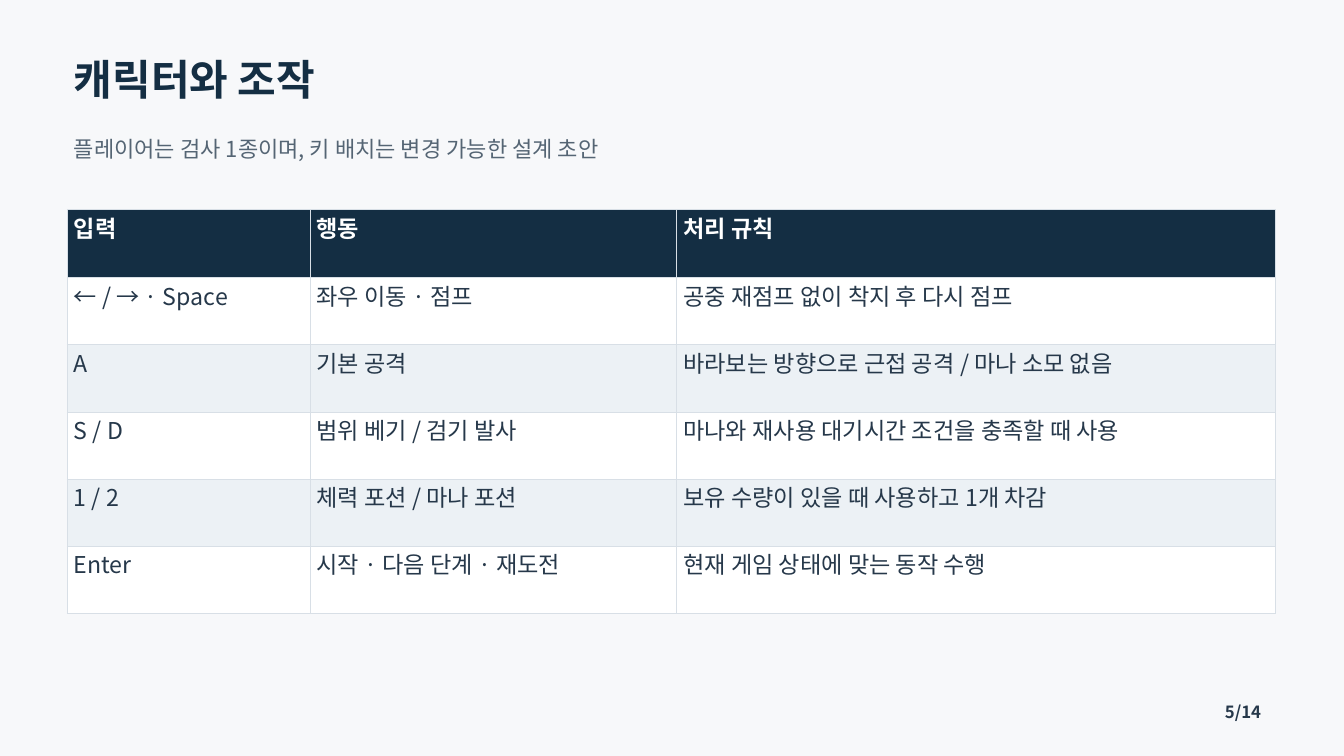
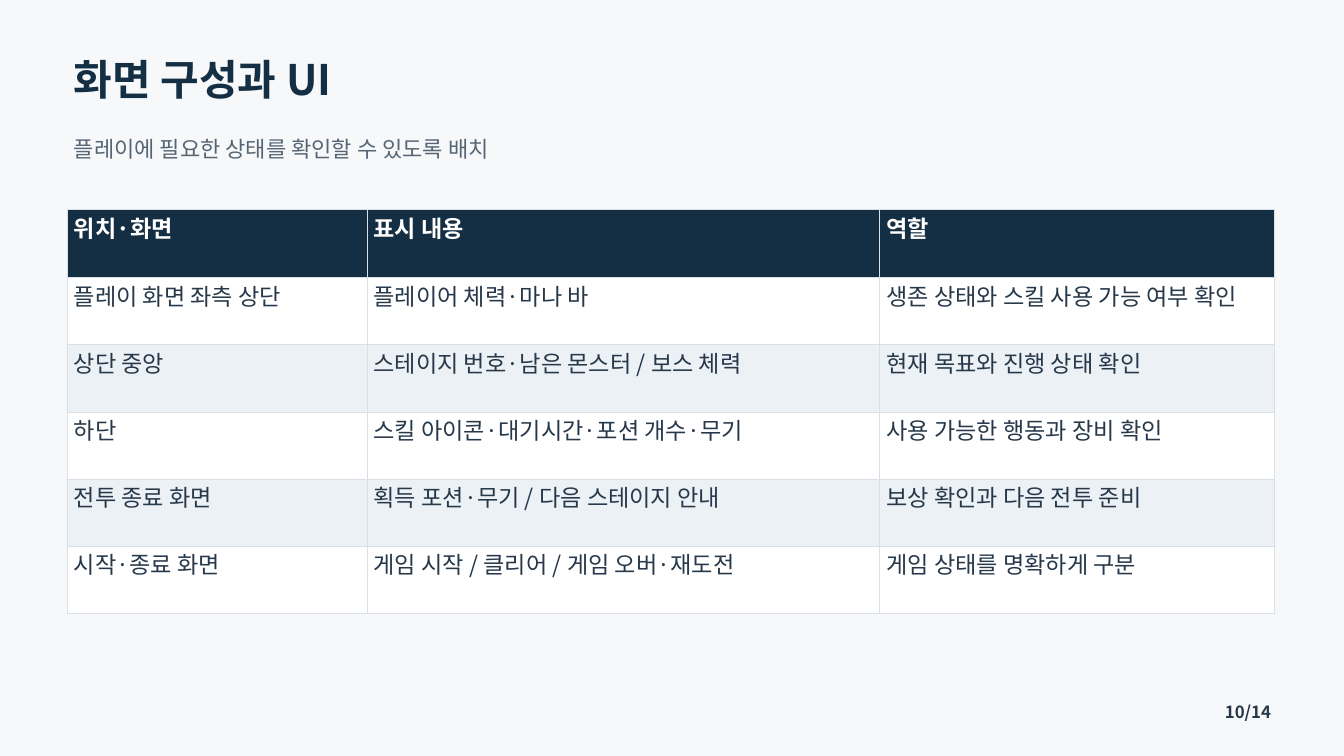
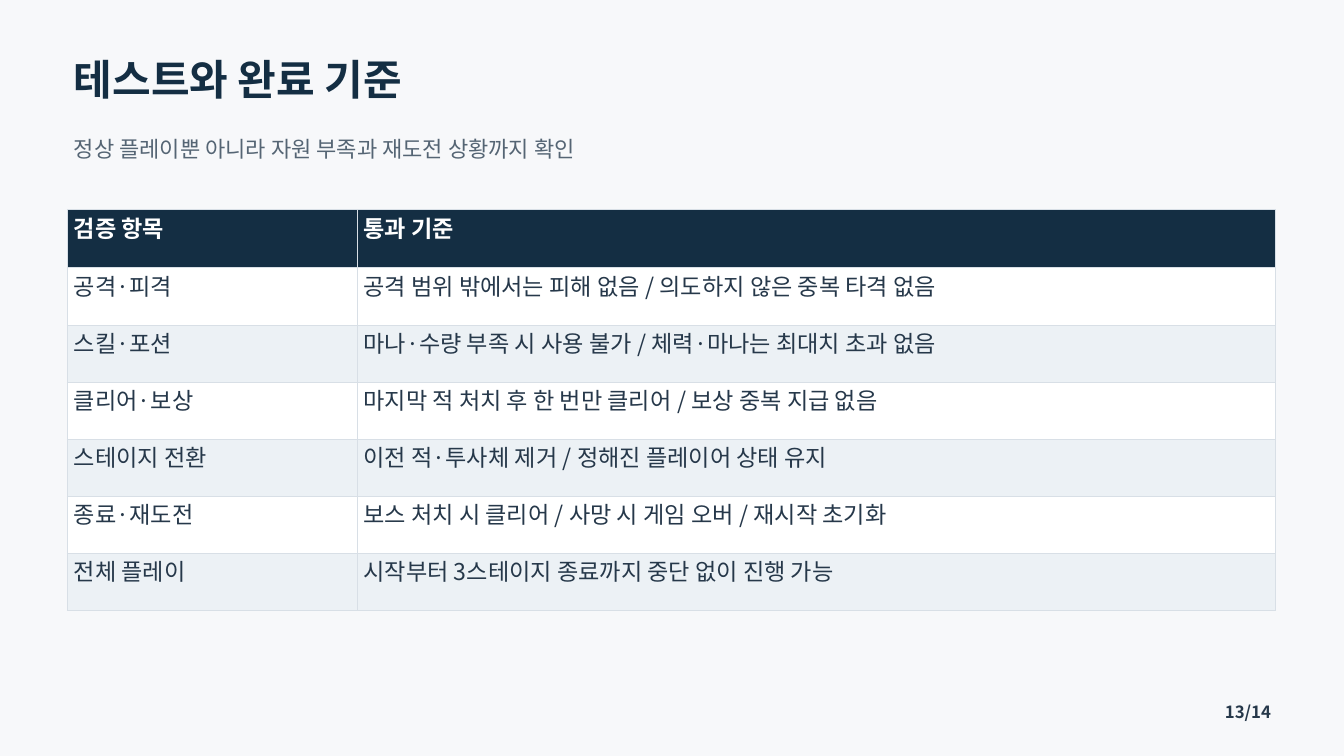
from lxml import etree
from pptx import Presentation
from pptx.dml.color import RGBColor
from pptx.enum.text import MSO_AUTO_SIZE
from pptx.oxml.ns import qn
from pptx.util import Cm, Pt

GROW = MSO_AUTO_SIZE.SHAPE_TO_FIT_TEXT
FONT = "Noto Sans CJK KR"
COLORS = {
    "bg": "F7F8FA",
    "navy": "142E43",
    "muted": "556574",
    "body": "26384A",
    "white": "FFFFFF",
    "band": "ECF1F5",
    "border": "D8DFE6",
}
PAGES = 14


def rgb(name):
    return RGBColor.from_string(COLORS[name])


class Deck:
    """Holds the presentation style and the current slide."""

    def __init__(self):
        self.prs = Presentation()
        self.prs.slide_width, self.prs.slide_height = Cm(50.8), Cm(28.58)
        self.s = None

    def line(self, tf, text, size, spacing, color, bold=False):
        p = tf.paragraphs[0]
        p.line_spacing = Pt(spacing)
        r = p.add_run()
        r.text = text
        r.font.name, r.font.size, r.font.bold = FONT, Pt(size), bold
        r.font.color.rgb = rgb(color)
        etree.SubElement(r._r.get_or_add_rPr(), qn("a:ea"), typeface=FONT)

    def text(self, text, x, y, w, h, *style):
        tf = self.s.shapes.add_textbox(Cm(x), Cm(y), Cm(w), Cm(h)).text_frame
        tf.margin_left = tf.margin_right = tf.margin_top = tf.margin_bottom = 0
        tf.word_wrap = True
        tf.auto_size = GROW
        self.line(tf, text, *style)

    def slide(self, title, subtitle, page):
        self.s = self.prs.slides.add_slide(self.prs.slide_layouts[6])
        fill = self.s.background.fill
        fill.solid()
        fill.fore_color.rgb = rgb("bg")
        self.text(title, 2.79, 2.01, 45.14, 2.36, 45, 54, "navy", True)
        self.text(subtitle, 2.79, 5.13, 45.14, 1.91, 23.6, 28.4, "muted")
        self.text(f"{page}/{PAGES}", 46.3, 26.54, 1.88, 0.76, 18, 21.6, "body", True)

    def borders(self, cell):
        tcPr = cell._tc.get_or_add_tcPr()
        for side in ("lnL", "lnR", "lnT", "lnB"):
            ln = etree.SubElement(tcPr, qn(f"a:{side}"), w=str(Pt(0.75)))
            fill = etree.SubElement(ln, qn("a:solidFill"))
            etree.SubElement(fill, qn("a:srgbClr"), val=COLORS["border"])

    def cell(self, cell, text, fill, color, bold):
        cell.margin_left = cell.margin_right = Cm(0.25)
        cell.margin_top = cell.margin_bottom = Cm(0.25)
        self.borders(cell)
        cell.fill.solid()
        cell.fill.fore_color.rgb = rgb(fill)
        self.line(cell.text_frame, text, 24.8, 29.7, color, bold)

    def table(self, widths, head_h, row_h, rows):
        heights = [head_h] + [row_h] * (len(rows) - 1)
        tbl = self.s.shapes.add_table(len(rows), len(widths), Cm(2.54), Cm(7.92),
                                      Cm(sum(widths)), Cm(sum(heights))).table
        tbl.first_row = tbl.horz_banding = False
        for col, w in zip(tbl.columns, widths):
            col.width = Cm(w)
        for i, (row, h) in enumerate(zip(rows, heights)):
            tbl.rows[i].height = Cm(h)
            # Dark header, then alternating white and tinted rows
            fill = "navy" if i == 0 else "white" if i % 2 else "band"
            color = "white" if i == 0 else "body"
            for j, text in enumerate(row):
                self.cell(tbl.cell(i, j), text, fill, color, i == 0)


def main():
    deck = Deck()

    # Characters and controls
    deck.slide("캐릭터와 조작", "플레이어는 검사 1종이며, 키 배치는 변경 가능한 설계 초안", 5)
    deck.table([9.17, 13.87, 22.63], 2.57, 2.54, [
        ("입력", "행동", "처리 규칙"),
        ("← / → · Space", "좌우 이동 · 점프", "공중 재점프 없이 착지 후 다시 점프"),
        ("A", "기본 공격", "바라보는 방향으로 근접 공격 / 마나 소모 없음"),
        ("S / D", "범위 베기 / 검기 발사", "마나와 재사용 대기시간 조건을 충족할 때 사용"),
        ("1 / 2", "체력 포션 / 마나 포션", "보유 수량이 있을 때 사용하고 1개 차감"),
        ("Enter", "시작 · 다음 단계 · 재도전", "현재 게임 상태에 맞는 동작 수행"),
    ])

    # Screen layout and UI
    deck.slide("화면 구성과 UI", "플레이에 필요한 상태를 확인할 수 있도록 배치", 10)
    deck.table([11.33, 19.38, 14.91], 2.57, 2.54, [
        ("위치·화면", "표시 내용", "역할"),
        ("플레이 화면 좌측 상단", "플레이어 체력·마나 바", "생존 상태와 스킬 사용 가능 여부 확인"),
        ("상단 중앙", "스테이지 번호·남은 몬스터 / 보스 체력", "현재 목표와 진행 상태 확인"),
        ("하단", "스킬 아이콘·대기시간·포션 개수·무기", "사용 가능한 행동과 장비 확인"),
        ("전투 종료 화면", "획득 포션·무기 / 다음 스테이지 안내", "보상 확인과 다음 전투 준비"),
        ("시작·종료 화면", "게임 시작 / 클리어 / 게임 오버·재도전", "게임 상태를 명확하게 구분"),
    ])

    # Tests and completion criteria
    deck.slide("테스트와 완료 기준", "정상 플레이뿐 아니라 자원 부족과 재도전 상황까지 확인", 13)
    deck.table([10.95, 34.72], 2.2, 2.16, [
        ("검증 항목", "통과 기준"),
        ("공격·피격", "공격 범위 밖에서는 피해 없음 / 의도하지 않은 중복 타격 없음"),
        ("스킬·포션", "마나·수량 부족 시 사용 불가 / 체력·마나는 최대치 초과 없음"),
        ("클리어·보상", "마지막 적 처치 후 한 번만 클리어 / 보상 중복 지급 없음"),
        ("스테이지 전환", "이전 적·투사체 제거 / 정해진 플레이어 상태 유지"),
        ("종료·재도전", "보스 처치 시 클리어 / 사망 시 게임 오버 / 재시작 초기화"),
        ("전체 플레이", "시작부터 3스테이지 종료까지 중단 없이 진행 가능"),
    ])

    deck.prs.save("out.pptx")


if __name__ == "__main__":
    main()
